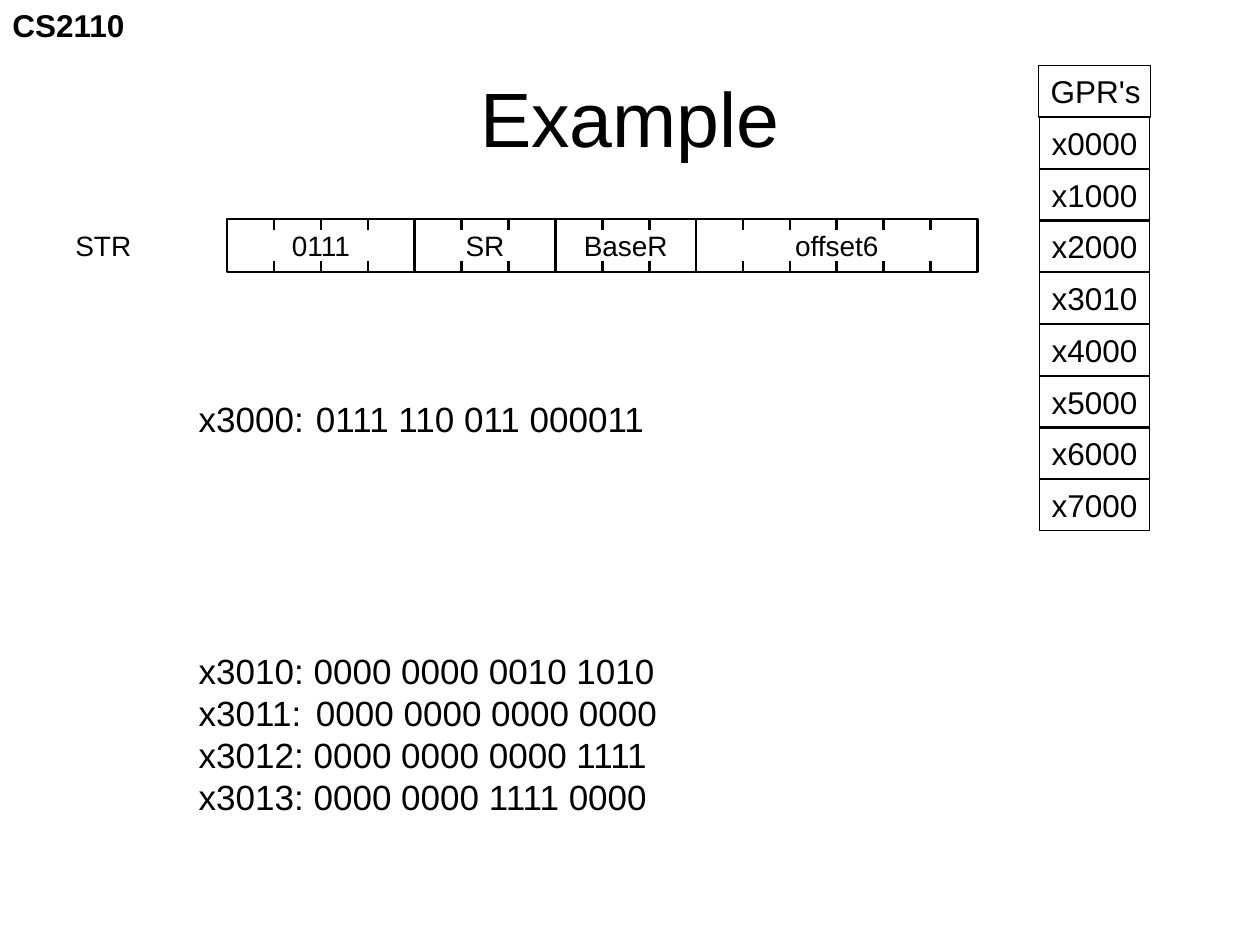
from lxml import etree
from pptx import Presentation
from pptx.dml.color import RGBColor
from pptx.enum.shapes import MSO_CONNECTOR as CONN, MSO_SHAPE as SHAPE
from pptx.enum.text import MSO_ANCHOR as ANCHOR, PP_ALIGN as ALIGN
from pptx.oxml.ns import qn
from pptx.util import Pt

COLORS = {"ink": "000000", "paper": "FFFFFF"}
FONT = "Arial"
BIT_W, FIELD_TOP, FIELD_H, TICK_H = 26.8, 125.2, 30.2, 6.3
LABEL_TOP, LABEL_H = 127, 26.6
FIELDS = [("0111", 4), ("SR", 3), ("BaseR", 3), ("offset6", 6)]
REGISTERS = ["x0000", "x1000", "x2000", "x3010", "x4000", "x5000", "x6000", "x7000"]
REGISTER_TOP, REGISTER_PITCH = 67.2, 29.57
MEMORY = [
    "x3000:\t0111 110 011 000011",
    "x3010: 0000 0000 0010 1010",
    "x3011:\t0000 0000 0000 0000",
    "x3012: 0000 0000 0000 1111",
    "x3013: 0000 0000 1111 0000",
]
MEMORY_GAP, MEMORY_TAB = 120, 67


def rgb(name):
    return RGBColor.from_string(COLORS[name])


def write(sp, lines, size, align=ALIGN.LEFT, anchor=ANCHOR.TOP, bold=False):
    tf = sp.text_frame
    tf.word_wrap = False
    tf.vertical_anchor = anchor
    for i, line in enumerate(lines):
        p = tf.paragraphs[0] if i == 0 else tf.add_paragraph()
        p.text = line
        p.alignment = align
        p.font.name = FONT
        p.font.size = Pt(size)
        p.font.bold = bold
        p.font.color.rgb = rgb("ink")
    return tf


def add_text(s, x, y, w, h, lines, size, **style):
    sp = s.shapes.add_textbox(Pt(x), Pt(y), Pt(w), Pt(h))
    return write(sp, lines, size, **style)


def add_box(s, x, y, w, h, weight):
    sp = s.shapes.add_shape(SHAPE.RECTANGLE, Pt(x), Pt(y), Pt(w), Pt(h))
    sp.shadow.inherit = False
    sp.fill.background()
    sp.line.color.rgb = rgb("ink")
    sp.line.width = Pt(weight)
    return sp


def add_tick(s, x, y):
    c = s.shapes.add_connector(CONN.STRAIGHT, Pt(x), Pt(y), Pt(x), Pt(y + TICK_H))
    c.line.color.rgb = rgb("ink")
    c.line.width = Pt(1.5)
    etree.SubElement(c._element.spPr, qn("a:effectLst"))
    return c


def add_field(s, x, label, bits):
    w = bits * BIT_W
    box = add_box(s, x, FIELD_TOP, w, FIELD_H, 1.5)
    for bit in range(1, bits):
        top = add_tick(s, x + bit * BIT_W, FIELD_TOP)
        bottom = add_tick(s, x + bit * BIT_W, FIELD_TOP + FIELD_H - TICK_H)
        if 2 * bit == bits:
            top.begin_connect(box, 0)
            bottom.end_connect(box, 2)
    add_text(s, x, LABEL_TOP, w, LABEL_H, [label], 16, align=ALIGN.CENTER)


def add_instruction(s):
    add_text(s, 36, LABEL_TOP, 54, LABEL_H, ["STR"], 16)
    x = 129.8
    for label, bits in FIELDS:
        add_field(s, x, label, bits)
        x += bits * BIT_W


def add_registers(s):
    for i, value in enumerate(REGISTERS):
        y = REGISTER_TOP + i * REGISTER_PITCH
        write(add_box(s, 593.8, y, 63, 29, 0.75), [value], 18)
    write(add_box(s, 593.3, 37.4, 64, 29.5, 0.75), ["GPR's"], 18)


def add_memory(s):
    tf = add_text(s, 106.5, 223.4, 319, 244, MEMORY, 20)
    tf.paragraphs[1].space_before = Pt(MEMORY_GAP)
    for p in tf.paragraphs:
        tabs = etree.SubElement(p._p.get_or_add_pPr(), qn("a:tabLst"))
        etree.SubElement(tabs, qn("a:tab"), pos=str(Pt(MEMORY_TAB)), algn="l")
        p._p.pPr.insert_element_before(tabs, "a:defRPr", "a:extLst")


def main():
    prs = Presentation()
    prs.slide_width, prs.slide_height = Pt(720), Pt(540)
    s = prs.slides.add_slide(prs.slide_layouts[6])
    s.background.fill.solid()
    s.background.fill.fore_color.rgb = rgb("paper")
    add_text(s, 0, 0, 79, 29, ["CS2110"], 18, bold=True)
    add_text(s, 36, 21.6, 648, 90, ["Example"], 44, align=ALIGN.CENTER, anchor=ANCHOR.MIDDLE)
    add_registers(s)
    add_memory(s)
    add_instruction(s)
    prs.save("out.pptx")


if __name__ == "__main__":
    main()
